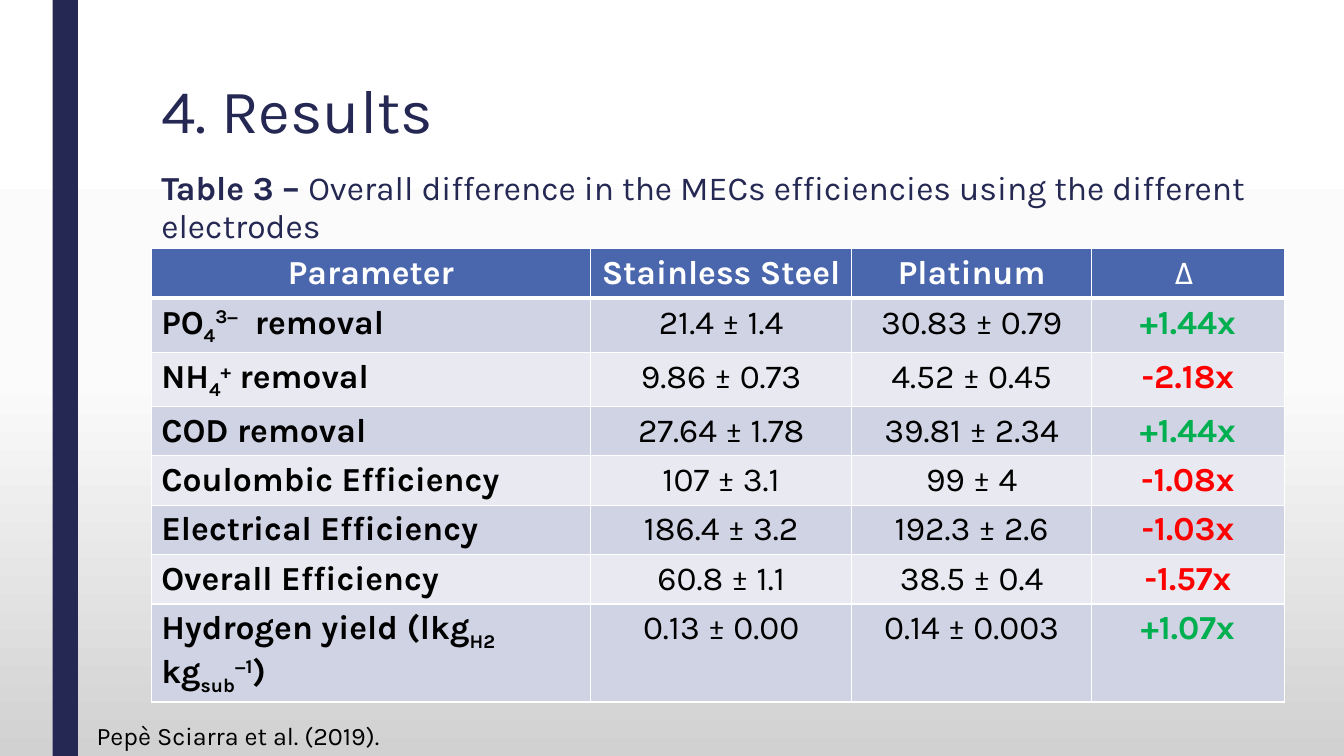
from copy import deepcopy

from lxml.etree import SubElement
from pptx import Presentation
from pptx.dml.color import RGBColor
from pptx.enum.shapes import MSO_SHAPE
from pptx.enum.text import MSO_ANCHOR, MSO_AUTO_SIZE, PP_ALIGN
from pptx.oxml.ns import qn
from pptx.util import Pt

FONT = "Karla"
NAVY = RGBColor(0x24, 0x28, 0x52)
BLUE = RGBColor(0x4A, 0x66, 0xAC)
BAND_DARK = RGBColor(0xD0, 0xD3, 0xE3)
BAND_LIGHT = RGBColor(0xE9, 0xEA, 0xF1)
GREEN = RGBColor(0x00, 0xB0, 0x50)
RED = RGBColor(0xFF, 0x00, 0x00)
BLACK = RGBColor(0x00, 0x00, 0x00)
WHITE = RGBColor(0xFF, 0xFF, 0xFF)
BACKGROUND = [
    (0, WHITE),
    (0.5, RGBColor(0xFB, 0xFB, 0xFB)),
    (1, RGBColor(0xD1, 0xD1, 0xD1)),
]

SUB, SUP = -25000, 30000
COLUMN_WIDTHS = [313.9, 186.5, 171.4, 137.5]
ROW_HEIGHT, LAST_ROW_HEIGHT = 35.28, 63.36
HEADERS = ["Parameter", "Stainless Steel", "Platinum", "Δ "]
RESULTS = [
    ([("PO", 0), ("4", SUB), ("3−", SUP), ("  removal", 0)],
     "21.4 ± 1.4", "30.83 ± 0.79", "+1.44x"),
    ([("NH", 0), ("4", SUB), ("+", SUP), (" removal", 0)],
     "9.86 ± 0.73", "4.52 ± 0.45", "-2.18x"),
    ([("COD removal", 0)], "27.64 ± 1.78", "39.81 ± 2.34", "+1.44x"),
    ([("Coulombic Efficiency", 0)], "107 ± 3.1", "99 ± 4", "-1.08x"),
    ([("Electrical Efficiency", 0)], "186.4 ± 3.2", "192.3 ± 2.6", "-1.03x"),
    ([("Overall Efficiency", 0)], "60.8 ± 1.1", "38.5 ± 0.4", "-1.57x"),
    ([("Hydrogen yield (lkg", 0), ("H2", SUB), (" kg", 0), ("sub", SUB),
      ("−1", SUP), (")", 0)],
     "0.13 ± 0.00", "0.14 ± 0.003", "+1.07x"),
]


def add_run(p, text, size, color, bold=False, baseline=0):
    """Append a formatted run to a paragraph."""
    r = p.add_run()
    r.text = text
    r.font.name = FONT
    r.font.size = Pt(size)
    r.font.bold = bold
    r.font.color.rgb = color
    if baseline:
        r.font._element.set("baseline", str(baseline))


def place(sp, left, top, width, height):
    """Move and size a shape, in points."""
    sp.left, sp.top = Pt(left), Pt(top)
    sp.width, sp.height = Pt(width), Pt(height)


def set_background(slide):
    """Fill the slide with a vertical gradient."""
    fill = slide.background.fill
    fill.gradient()
    fill.gradient_angle = 270
    stops = slide.element.find(".//" + qn("a:gsLst"))
    stops.append(deepcopy(stops[0]))
    for stop, (position, color) in zip(fill.gradient_stops, BACKGROUND):
        stop.position = position
        stop.color.rgb = color


def add_side_bar(slide):
    """Add the vertical bar at the left."""
    sp = slide.shapes.add_shape(
        MSO_SHAPE.RECTANGLE, Pt(37.6), Pt(0), Pt(18), Pt(540))
    sp.shadow.inherit = False
    sp.fill.solid()
    sp.fill.fore_color.rgb = NAVY
    sp.line.fill.background()


def fill_placeholder(sp, box, line_spacing):
    """Place a placeholder and return its left-aligned first paragraph."""
    place(sp, *box)
    tf = sp.text_frame
    tf.word_wrap = True
    tf.auto_size = MSO_AUTO_SIZE.NONE
    tf.vertical_anchor = MSO_ANCHOR.TOP
    p = tf.paragraphs[0]
    p.alignment = PP_ALIGN.LEFT
    p.line_spacing = line_spacing
    return p


def add_caption(sp):
    """Write the table caption in the body placeholder."""
    p = fill_placeholder(sp, (108, 118.1, 809.3, 318.2), 0.94)
    p.space_before, p.space_after = Pt(10), Pt(2)
    pPr = p._p.get_or_add_pPr()
    pPr.set("marL", "0")
    pPr.set("indent", "0")
    SubElement(pPr, qn("a:buNone"))
    add_run(p, "Table 3 – ", 24, NAVY, bold=True)
    add_run(p, "Overall difference in the MECs efficiencies using the "
               "different electrodes", 24, NAVY)


def set_borders(cell, top, bottom):
    """Draw white borders around a cell."""
    tcPr = cell._tc.get_or_add_tcPr()
    widths = {"a:lnL": 1, "a:lnR": 1, "a:lnT": top, "a:lnB": bottom}
    for index, (tag, width) in enumerate(widths.items()):
        ln = SubElement(tcPr, qn(tag), w=str(Pt(width)))
        fill = SubElement(ln, qn("a:solidFill"))
        SubElement(fill, qn("a:srgbClr"), val=str(WHITE))
        tcPr.insert(index, ln)


def fill_cell(cell, runs, fill, color, bold, align=PP_ALIGN.CENTER):
    """Write runs of (text, baseline) into a filled cell."""
    cell.fill.solid()
    cell.fill.fore_color.rgb = fill
    p = cell.text_frame.paragraphs[0]
    p.alignment = align
    for text, baseline in runs:
        add_run(p, text, 24, color, bold, baseline)


def add_results_table(slide):
    """Add the table of efficiencies for both electrodes."""
    heights = [ROW_HEIGHT] * len(RESULTS) + [LAST_ROW_HEIGHT]
    table = slide.shapes.add_table(
        len(heights), len(COLUMN_WIDTHS), Pt(108), Pt(177.8),
        Pt(sum(COLUMN_WIDTHS)), Pt(sum(heights))).table
    for column, width in zip(table.columns, COLUMN_WIDTHS):
        column.width = Pt(width)
    for row, height in zip(table.rows, heights):
        row.height = Pt(height)

    for col, header in enumerate(HEADERS):
        cell = table.cell(0, col)
        fill_cell(cell, [(header, 0)], BLUE, WHITE, bold=col < 3)
        set_borders(cell, 1, 3)

    for row, (parameter, steel, platinum, change) in enumerate(RESULTS, 1):
        band = BAND_DARK if row % 2 else BAND_LIGHT
        cells = [table.cell(row, col) for col in range(len(HEADERS))]
        fill_cell(cells[0], parameter, band, BLACK, True, PP_ALIGN.LEFT)
        for cell, value in zip(cells[1:3], (steel, platinum)):
            fill_cell(cell, [(value, 0)], band, BLACK, False)
            cell.margin_left = cell.margin_right = Pt(3.6)
            cell.margin_top = cell.margin_bottom = Pt(3.6)
        color = GREEN if change.startswith("+") else RED
        fill_cell(cells[3], [(change, 0)], band, color, True)
        for cell in cells:
            set_borders(cell, 3 if row == 1 else 1, 1)


def add_source(slide):
    """Add the source reference at the bottom."""
    sp = slide.shapes.add_textbox(Pt(61.9), Pt(511.2), Pt(221), Pt(28.8))
    tf = sp.text_frame
    tf.auto_size = MSO_AUTO_SIZE.SHAPE_TO_FIT_TEXT
    tf.word_wrap = False
    add_run(tf.paragraphs[0], "Pepè Sciarra et al. (2019).", 18, BLACK)


def main():
    """Build the results slide and save it."""
    prs = Presentation()
    prs.slide_width, prs.slide_height = Pt(960), Pt(540)
    slide = prs.slides.add_slide(prs.slide_layouts[1])
    set_background(slide)
    add_side_bar(slide)
    p = fill_placeholder(slide.shapes.title, (108, 54, 756, 116.6), 0.89)
    add_run(p, "4. Results", 44, NAVY)
    add_results_table(slide)
    add_source(slide)
    add_caption(slide.placeholders[1])
    prs.save("out.pptx")


if __name__ == "__main__":
    main()
